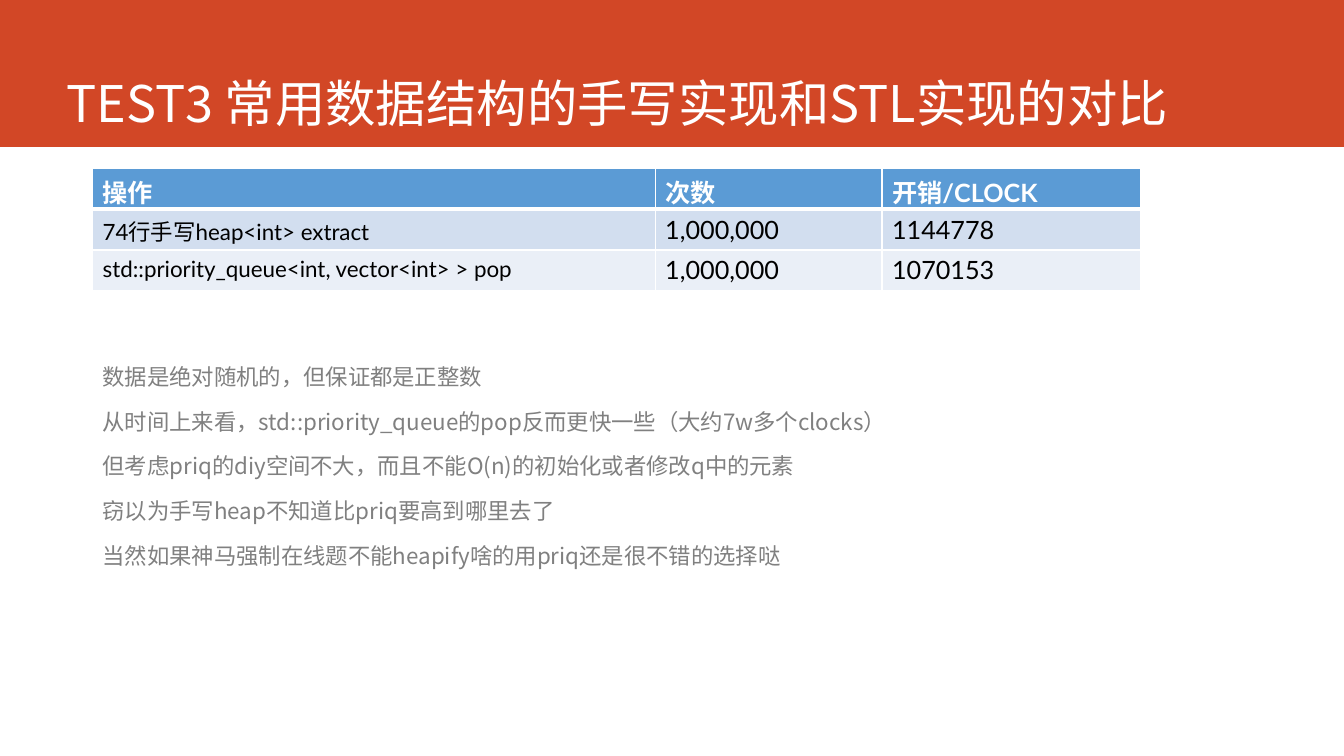
from dataclasses import dataclass

from lxml import etree
from pptx import Presentation
from pptx import util as u
from pptx.dml.color import RGBColor
from pptx.enum import shapes, text
from pptx.oxml import ns


@dataclass
class Theme:
    band: str = "D24726"
    white: str = "FFFFFF"
    black: str = "000000"
    grey: str = "808080"
    header: str = "5B9BD5"
    rows: tuple = ("D2DEEF", "EAEFF7")
    cjk: str = "Noto Sans CJK SC"
    latin: str = "Lato"
    title: int = 36
    large: int = 18
    small: int = 16


theme = Theme()


def write(paragraph, words, size, color, font=theme.cjk, bold=False, after=0):
    """Put formatted text into a paragraph."""
    run = paragraph.add_run()
    run.text = words
    run.font.size = u.Pt(size)
    run.font.bold = bold
    run.font.name = font
    run.font.color.rgb = RGBColor.from_string(color)
    east_asian = etree.SubElement(run.font._element, ns.qn("a:ea"))
    east_asian.set("typeface", theme.cjk)
    paragraph.space_before = u.Pt(0)
    paragraph.space_after = u.Pt(after)


def add_border(cell, side, width):
    """Draw a white line on one side of a table cell."""
    properties = cell._tc.get_or_add_tcPr()
    line = etree.SubElement(properties, ns.qn(f"a:ln{side}"), w=str(u.Pt(width)))
    fill = etree.SubElement(line, ns.qn("a:solidFill"))
    etree.SubElement(fill, ns.qn("a:srgbClr"), val=theme.white)


presentation = Presentation()
presentation.slide_width, presentation.slide_height = u.Pt(960), u.Pt(540)
slide = presentation.slides.add_slide(presentation.slide_layouts[5])

# Title band, behind the title
band = slide.shapes.add_shape(
    shapes.MSO_SHAPE.RECTANGLE, u.Pt(0), u.Pt(0), u.Pt(960), u.Pt(105))
band.shadow.inherit = False
band.fill.solid()
band.fill.fore_color.rgb = RGBColor.from_string(theme.band)
band.line.fill.background()
slide.shapes._spTree.insert(2, band._element)

title = slide.shapes.title
title.left, title.top, title.width, title.height = u.Pt(40.3), u.Pt(0), u.Pt(919.4), u.Pt(95)
frame = title.text_frame
frame.vertical_anchor = text.MSO_ANCHOR.BOTTOM
frame.margin_bottom = u.Pt(0)
frame.auto_size = text.MSO_AUTO_SIZE.NONE
frame.paragraphs[0].alignment = text.PP_ALIGN.LEFT
write(frame.paragraphs[0], "TEST3 常用数据结构的手写实现和STL实现的对比",
      size=theme.title, color=theme.white)

# Remarks
remarks = [
    "数据是绝对随机的，但保证都是正整数",
    "从时间上来看，std::priority_queue的pop反而更快一些（大约7w多个clocks）",
    "但考虑priq的diy空间不大，而且不能O(n)的初始化或者修改q中的元素",
    "窃以为手写heap不知道比priq要高到哪里去了",
    "当然如果神马强制在线题不能heapify啥的用priq还是很不错的选择哒",
]
frame = slide.shapes.add_textbox(u.Pt(66.2), u.Pt(259.2), u.Pt(820), u.Pt(237.6)).text_frame
frame.word_wrap = True
frame.margin_top = u.Pt(0)
for index, remark in enumerate(remarks):
    paragraph = frame.add_paragraph() if index else frame.paragraphs[0]
    write(paragraph, remark, size=theme.small, color=theme.grey, after=12.8)

# Timing table
timings = [
    ("操作", "次数", "开销/CLOCK"),
    ("74行手写heap<int> extract", "1,000,000", "1144778"),
    ("std::priority_queue<int, vector<int> > pop", "1,000,000", "1070153"),
]
column_widths = (401.8, 162, 185)
row_height = 29.2
table = slide.shapes.add_table(
    len(timings), len(column_widths), u.Pt(66.2), u.Pt(120.2),
    u.Pt(sum(column_widths)), u.Pt(row_height * len(timings))).table
for column, width in zip(table.columns, column_widths):
    column.width = u.Pt(width)
for row_index, values in enumerate(timings):
    table.rows[row_index].height = u.Pt(row_height)
    is_header = row_index == 0
    fill = theme.header if is_header else theme.rows[row_index - 1]
    for column_index, value in enumerate(values):
        cell = table.cell(row_index, column_index)
        is_operation = column_index == 0 and not is_header
        write(cell.text_frame.paragraphs[0], value, font=theme.latin, bold=is_header,
              size=theme.small if is_operation else theme.large,
              color=theme.white if is_header else theme.black)
        for side in "LRTB":
            thick = (is_header and side == "B") or (row_index == 1 and side == "T")
            add_border(cell, side, 3 if thick else 1)
        cell.fill.solid()
        cell.fill.fore_color.rgb = RGBColor.from_string(fill)

presentation.save("out.pptx")
